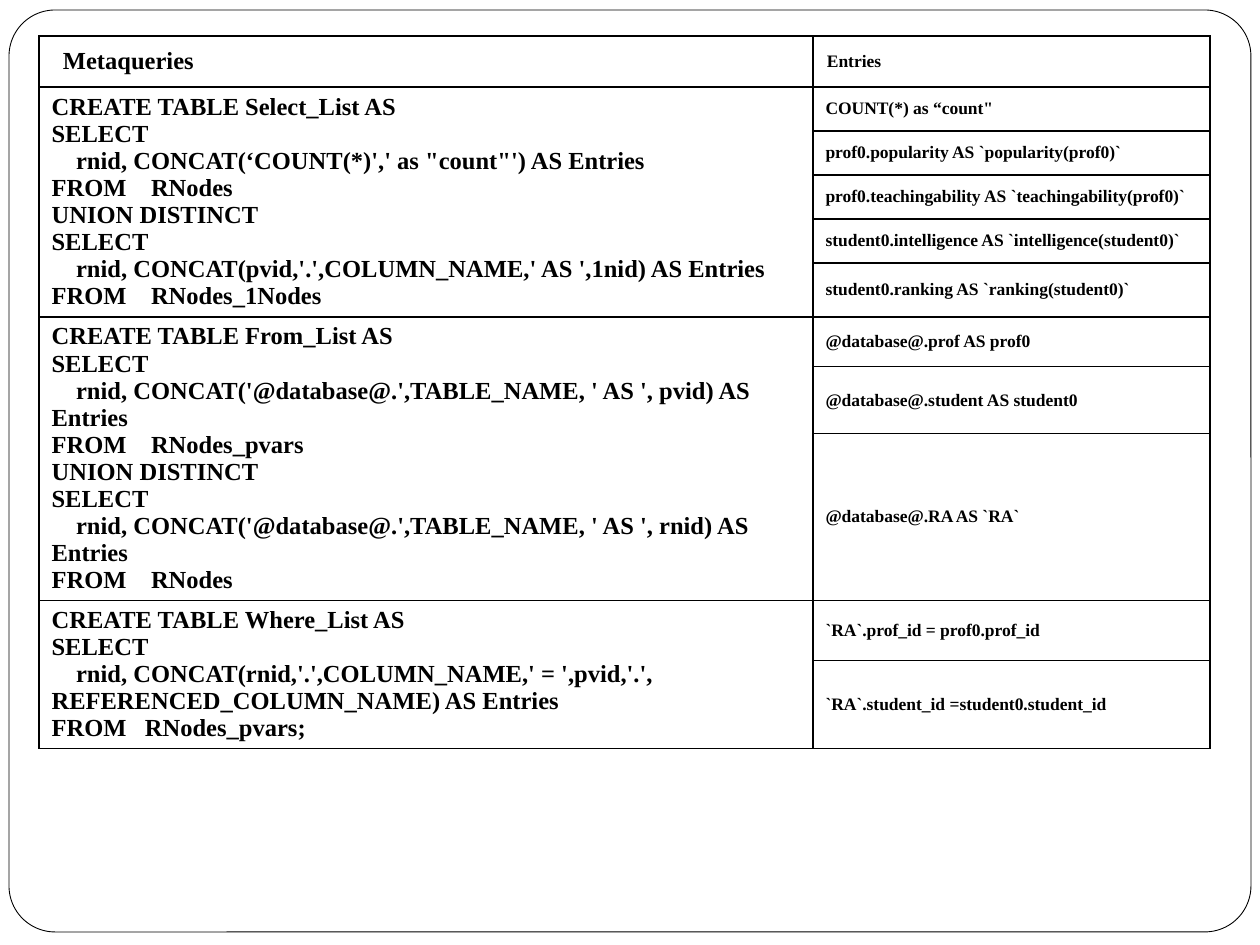
import pptx
import pptx.util
import pptx.oxml
import pptx.oxml.ns
import pptx.dml.color
import pptx.enum.shapes
import pptx.enum.text

COLORS = {"ink": "000000", "paper": "FFFFFF"}
FONT = "Times New Roman"
QUERY_PT, ENTRY_PT = 14, 10

HEADER_HEIGHT = 51
# Each group: metaquery text, then (entry, row height) pairs
GROUPS = [
    ("""CREATE TABLE Select_List AS
SELECT
    rnid, CONCAT(‘COUNT(*)',' as "count"') AS Entries
FROM    RNodes
UNION DISTINCT
SELECT
    rnid, CONCAT(pvid,'.',COLUMN_NAME,' AS ',1nid) AS Entries
FROM    RNodes_1Nodes""",
     [("COUNT(*) as “count\"", 44),
      ("prof0.popularity AS `popularity(prof0)`", 44),
      ("prof0.teachingability AS `teachingability(prof0)`", 44),
      ("student0.intelligence AS `intelligence(student0)`", 44),
      ("student0.ranking AS `ranking(student0)`", 54)]),
    ("""CREATE TABLE From_List AS
SELECT
    rnid, CONCAT('@database@.',TABLE_NAME, ' AS ', pvid) AS Entries
FROM    RNodes_pvars
UNION DISTINCT
SELECT
    rnid, CONCAT('@database@.',TABLE_NAME, ' AS ', rnid) AS Entries
FROM    RNodes""",
     [("@database@.prof AS prof0", 50),
      ("@database@.student AS student0", 67),
      ("@database@.RA AS `RA`", 166)]),
    ("""CREATE TABLE Where_List AS
SELECT
    rnid, CONCAT(rnid,'.',COLUMN_NAME,' = ',pvid,'.', REFERENCED_COLUMN_NAME) AS Entries
FROM   RNodes_pvars;""",
     [("`RA`.prof_id = prof0.prof_id", 60),
      ("`RA`.student_id =student0.student_id", 88)]),
]


def px(n):
    return pptx.util.Emu(round(n * 914400 / 126))


def rgb(name):
    return pptx.dml.color.RGBColor.from_string(COLORS[name])


class Deck:
    def __init__(self, width, height):
        self.prs = pptx.Presentation()
        self.prs.slide_width, self.prs.slide_height = px(width), px(height)
        self.s = self.prs.slides.add_slide(self.prs.slide_layouts[6])

    def frame(self, x, y, w, h, radius):
        sp = self.s.shapes.add_shape(
            pptx.enum.shapes.MSO_SHAPE.ROUNDED_RECTANGLE, px(x), px(y), px(w), px(h))
        sp.adjustments[0] = radius
        sp.shadow.inherit = False
        sp.fill.solid()
        sp.fill.fore_color.rgb = rgb("paper")
        sp.line.color.rgb = rgb("ink")
        sp.line.width = pptx.util.Pt(0.5)

    def table(self, x, y, widths, heights):
        shape = self.s.shapes.add_table(
            len(heights), len(widths), px(x), px(y), px(sum(widths)), px(sum(heights)))
        table = shape.table
        table.first_row = table.horz_banding = False
        for column, width in zip(table.columns, widths):
            column.width = px(width)
        for row, height in zip(table.rows, heights):
            row.height = px(height)
        for cell in table.iter_cells():
            self.borders(cell)
            cell.fill.solid()
            cell.fill.fore_color.rgb = rgb("paper")
        return table

    def borders(self, cell):
        tc_pr = cell._tc.get_or_add_tcPr()
        for side in ("lnL", "lnR", "lnT", "lnB"):
            tc_pr.append(pptx.oxml.parse_xml(
                f'<a:{side} {pptx.oxml.ns.nsdecls("a")} w="{pptx.util.Pt(1)}">'
                f'<a:solidFill><a:srgbClr val="{COLORS["ink"]}"/></a:solidFill></a:{side}>'))

    def text(self, cell, text, size, indent=None):
        """Fill a cell; a given indent replaces the default insets."""
        cell.vertical_anchor = pptx.enum.text.MSO_ANCHOR.MIDDLE
        if indent is not None:
            cell.margin_left = px(indent)
            cell.margin_right = cell.margin_top = cell.margin_bottom = 0
        tf = cell.text_frame
        tf.text = text
        for p in tf.paragraphs:
            p.font.name = FONT
            p.font.size = pptx.util.Pt(size)
            p.font.bold = True
            p.font.color.rgb = rgb("ink")


def main():
    deck = Deck(1260, 945)
    deck.frame(9, 10, 1242, 922, 0.05)
    heights = [HEADER_HEIGHT] + [h for _, entries in GROUPS for _, h in entries]
    table = deck.table(39, 36, [774, 397], heights)
    deck.text(table.cell(0, 0), "Metaqueries", QUERY_PT, indent=24)
    deck.text(table.cell(0, 1), "Entries", ENTRY_PT, indent=14)
    row = 1
    for query, entries in GROUPS:
        table.cell(row, 0).merge(table.cell(row + len(entries) - 1, 0))
        deck.text(table.cell(row, 0), query, QUERY_PT)
        for entry, _ in entries:
            deck.text(table.cell(row, 1), entry, ENTRY_PT)
            row += 1
    deck.prs.save("out.pptx")


if __name__ == "__main__":
    main()
